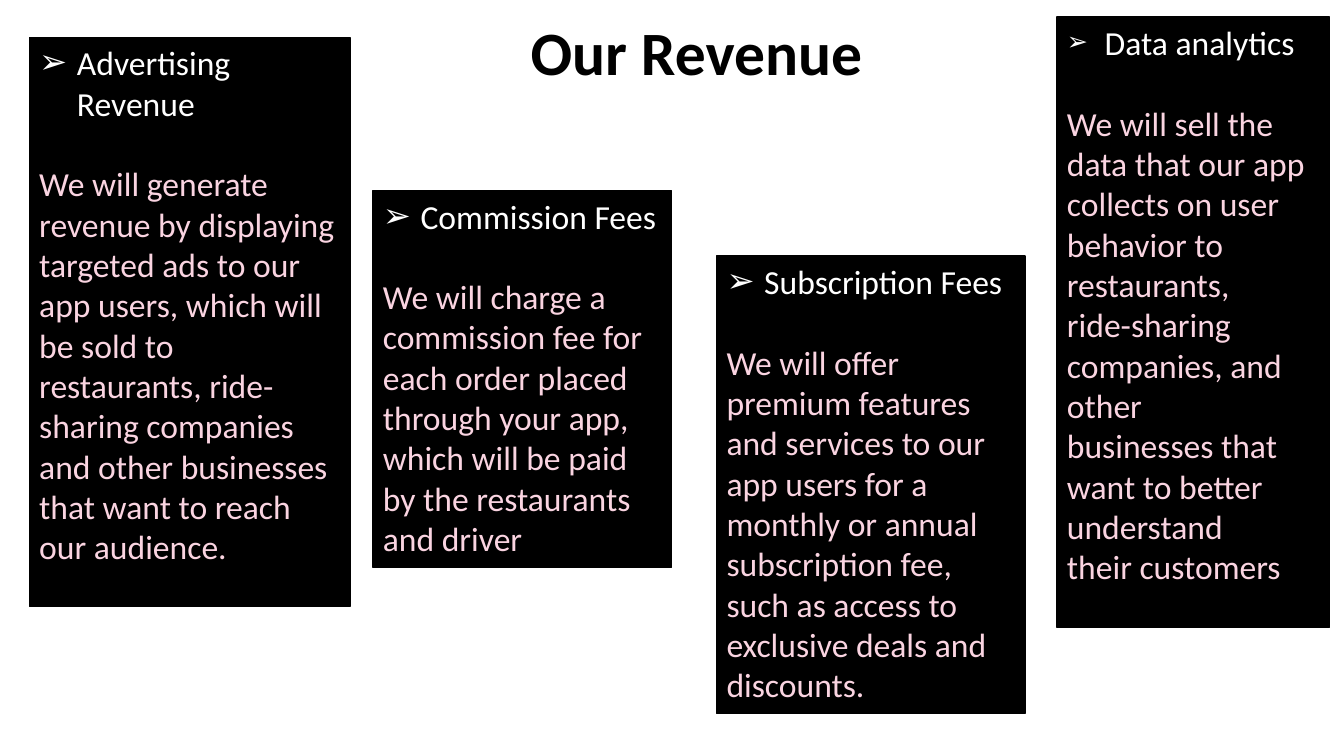
from dataclasses import dataclass

from lxml import etree
from pptx import Presentation
from pptx.dml.color import RGBColor
from pptx.enum.shapes import MSO_SHAPE
from pptx.enum.text import MSO_ANCHOR, PP_ALIGN
from pptx.oxml.ns import qn
from pptx.util import Cm, Pt

RECTANGLE = MSO_SHAPE.RECTANGLE
TOP, MIDDLE = MSO_ANCHOR.TOP, MSO_ANCHOR.MIDDLE
LEFT, CENTER = PP_ALIGN.LEFT, PP_ALIGN.CENTER
BLACK = RGBColor(0x00, 0x00, 0x00)
WHITE = RGBColor(0xFF, 0xFF, 0xFF)
PINK = RGBColor(0xFA, 0xD4, 0xE1)
FONT = "Calibri"
BODY_SIZE = 24
HEADING_GAP = Pt(28.8)
BULLET_INDENT = Cm(0.95)


@dataclass
class RevenueCard:
    left: float
    top: float
    width: float
    height: float
    heading: str
    lines: list[str]
    bullet_percent: int = 100


CARDS = [
    RevenueCard(0.74, 0.94, 8.08, 14.35, "Advertising Revenue", [
        "We will generate revenue by displaying targeted ads to our app users, "
        "which will be sold to restaurants, ride-sharing companies",
        "and other businesses that want to reach",
        "our audience.",
    ]),
    RevenueCard(9.4, 4.8, 7.52, 9.5, "Commission Fees", [
        "We will charge a",
        "commission fee for each order placed",
        "through your app, which will be paid by the restaurants and driver",
    ]),
    RevenueCard(18.06, 6.45, 7.77, 11.53, "Subscription Fees", [
        "We will offer",
        "premium features and services to our app users for a monthly or annual "
        "subscription fee, such as access to exclusive deals and",
        "discounts.",
    ]),
    RevenueCard(26.64, 0.43, 6.86, 15.39, "Data analytics", [
        "We will sell the data that our app collects on user behavior to restaurants,",
        "ride-sharing companies, and other",
        "businesses that want to better understand",
        "their customers",
    ], bullet_percent=75),
]


def add_run(para, text: str, size: int, color: RGBColor, bold: bool = False) -> None:
    span = para.add_run()
    span.text = text
    span.font.name = FONT
    span.font.size = Pt(size)
    span.font.bold = bold
    span.font.color.rgb = color


def add_bullet(para, percent: int) -> None:
    properties = para._p.get_or_add_pPr()
    properties.set("marL", str(BULLET_INDENT))
    properties.set("indent", str(-BULLET_INDENT))
    etree.SubElement(properties, qn("a:buSzPct")).set("val", str(percent * 1000))
    etree.SubElement(properties, qn("a:buFont")).set("typeface", "Arial")
    etree.SubElement(properties, qn("a:buChar")).set("char", "➢")


def add_title(page, text: str) -> None:
    box = page.shapes.add_textbox(Cm(2.95), Cm(-0.43), Cm(29.21), Cm(3.68))
    frame = box.text_frame
    frame.word_wrap = True
    frame.vertical_anchor = MIDDLE
    para = frame.paragraphs[0]
    para.alignment = CENTER
    para.line_spacing = 0.9
    add_run(para, text, 44, BLACK, bold=True)


def add_card(page, card: RevenueCard) -> None:
    box = page.shapes.add_shape(
        RECTANGLE, Cm(card.left), Cm(card.top), Cm(card.width), Cm(card.height))
    box.shadow.inherit = False
    box.fill.solid()
    box.fill.fore_color.rgb = BLACK
    box.line.color.rgb = BLACK
    box.line.width = Pt(1)
    frame = box.text_frame
    frame.word_wrap = True
    frame.vertical_anchor = TOP
    heading = frame.paragraphs[0]
    heading.alignment = LEFT
    heading.space_after = HEADING_GAP
    add_bullet(heading, card.bullet_percent)
    add_run(heading, card.heading, BODY_SIZE, WHITE)
    for line in card.lines:
        para = frame.add_paragraph()
        para.alignment = LEFT
        add_run(para, line, BODY_SIZE, PINK)


deck = Presentation()
deck.slide_width = Cm(33.87)
deck.slide_height = Cm(19.05)
page = deck.slides.add_slide(deck.slide_layouts[6])
add_title(page, "Our Revenue")
for card in CARDS:
    add_card(page, card)
deck.save("out.pptx")
